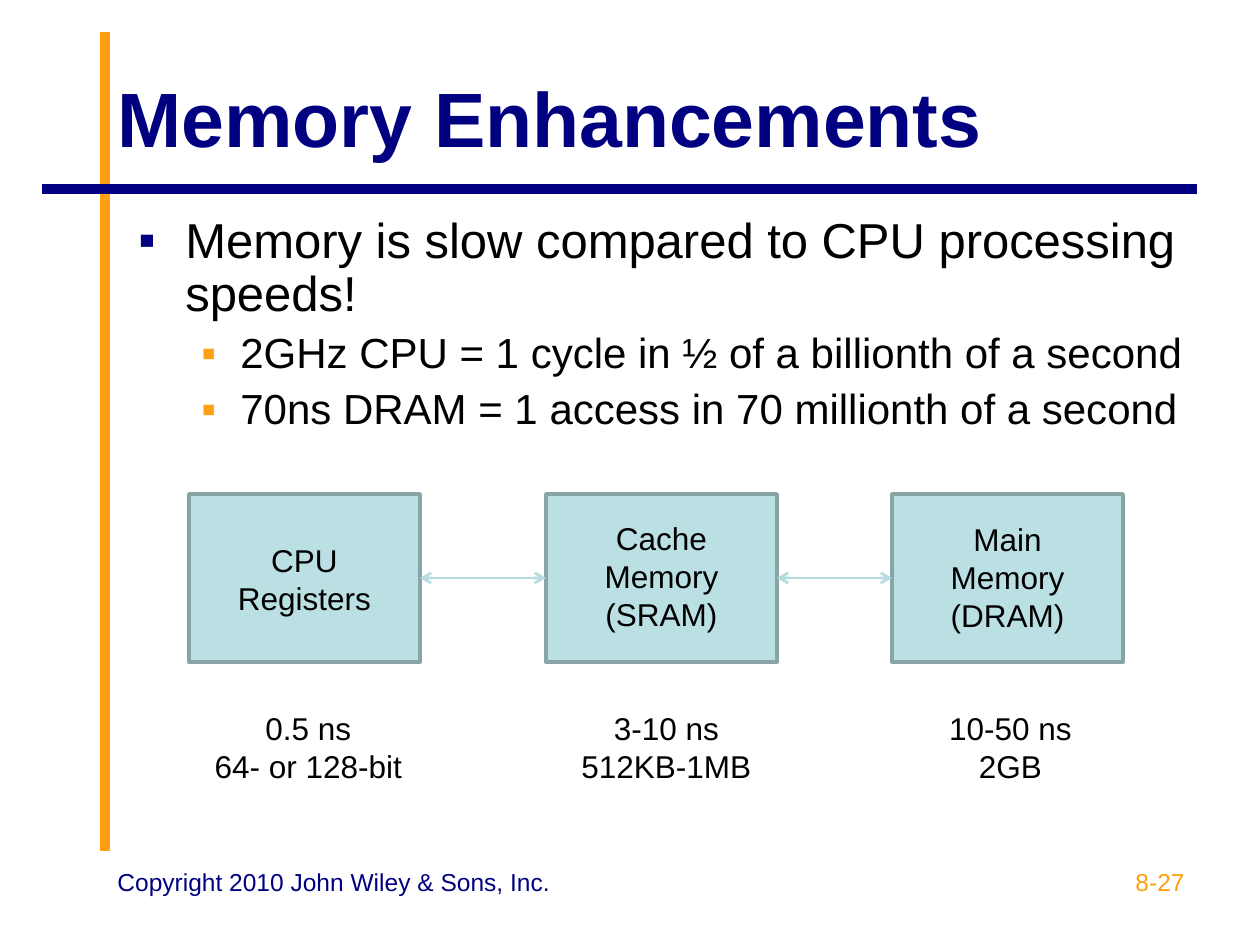
import pptx
import pptx.dml.color
import pptx.enum.shapes
import pptx.enum.text
import pptx.oxml.ns
import pptx.util
from lxml import etree

EMU_PER_PX = 914400 / 126
NAVY, ORANGE, BLACK = "000080", "FF9F11", "000000"
BOX_FILL, BOX_LINE, ARROW = "BBE0E3", "89A4A7", "B6DCDF"
ALIGN = pptx.enum.text.PP_ALIGN
ANCHOR = pptx.enum.text.MSO_ANCHOR
AUTO_SIZE = pptx.enum.text.MSO_AUTO_SIZE


def px(length):
    return pptx.util.Emu(round(length * EMU_PER_PX))


def color(hex_string):
    return pptx.dml.color.RGBColor.from_string(hex_string)


def add_child(parent, tag, **attributes):
    return etree.SubElement(parent, pptx.oxml.ns.qn(tag), attributes)


def add_run(paragraph, text, size, text_color, bold=False):
    run = paragraph.add_run()
    run.text = text
    run.font.name = "Arial"
    run.font.size = pptx.util.Pt(size)
    run.font.bold = bold
    run.font.color.rgb = color(text_color)


def add_text_frame(slide, left, top, width, height):
    frame = slide.shapes.add_textbox(px(left), px(top), px(width), px(height)).text_frame
    frame.word_wrap = True
    return frame


def add_paragraph(frame, index):
    return frame.paragraphs[0] if index == 0 else frame.add_paragraph()


def add_text(slide, bounds, lines, size=18, text_color=BLACK, align=ALIGN.LEFT, tabs=()):
    """Add a text box with one paragraph a line and centred tab stops."""
    frame = add_text_frame(slide, *bounds)
    for index, line in enumerate(lines):
        paragraph = add_paragraph(frame, index)
        paragraph.alignment = align
        if tabs:
            tab_list = add_child(paragraph._p.get_or_add_pPr(), "a:tabLst")
            for tab in tabs:
                add_child(tab_list, "a:tab", pos=str(px(tab)), algn="ctr")
        add_run(paragraph, line, size, text_color)
    return frame


def set_title(slide, text):
    title = slide.shapes.title
    title.left, title.top, title.width, title.height = px(105), px(38), px(1092), px(158)
    frame = title.text_frame
    frame.auto_size = AUTO_SIZE.NONE
    frame.vertical_anchor = ANCHOR.MIDDLE
    paragraph = frame.paragraphs[0]
    paragraph.alignment = ALIGN.LEFT
    add_run(paragraph, text, 44, NAVY, bold=True)


def add_bullets(slide, bounds, items):
    # Each level: left margin px, hanging px, bullet colour, text size, space before
    levels = [(47, 47, NAVY, 28, 7), (102, 39, ORANGE, 24, 6)]
    frame = add_text_frame(slide, *bounds)
    for index, (level, text) in enumerate(items):
        margin, hanging, bullet_color, size, space = levels[level]
        paragraph = add_paragraph(frame, index)
        paragraph.level = level
        paragraph.line_spacing = 0.9
        paragraph.space_before = pptx.util.Pt(space if index else 0)
        properties = paragraph._p.get_or_add_pPr()
        properties.set("marL", str(px(margin)))
        properties.set("indent", str(-px(hanging)))
        add_child(add_child(properties, "a:buClr"), "a:srgbClr", val=bullet_color)
        add_child(properties, "a:buFont", typeface="Arial")
        add_child(properties, "a:buChar", char="▪")
        add_run(paragraph, text, size, BLACK)


def add_line(slide, start, end, line_color, width):
    connector = slide.shapes.add_connector(
        pptx.enum.shapes.MSO_CONNECTOR.STRAIGHT, *map(px, start + end))
    connector.line.color.rgb = color(line_color)
    connector.line.width = pptx.util.Pt(width)
    add_child(connector._element.spPr, "a:effectLst")
    return connector


def add_box(slide, left, top, width, height):
    box = slide.shapes.add_shape(
        pptx.enum.shapes.MSO_SHAPE.RECTANGLE, px(left), px(top), px(width), px(height))
    box.shadow.inherit = False
    box.fill.solid()
    box.fill.fore_color.rgb = color(BOX_FILL)
    box.line.color.rgb = color(BOX_LINE)
    box.line.width = pptx.util.Pt(2)
    return box


def join_boxes(slide, left_box, right_box):
    """Link two neighbouring boxes with a double-headed arrow."""
    connector = add_line(slide, (0, 0), (0, 0), ARROW, 1.5)
    connector.begin_connect(left_box, 3)
    connector.end_connect(right_box, 1)
    line = connector._element.spPr.find(pptx.oxml.ns.qn("a:ln"))
    for end in ("a:headEnd", "a:tailEnd"):
        add_child(line, end, type="arrow")


def add_memory_levels(slide):
    # Each level: box left, label top, label height, label lines
    levels = [
        (189, 535, 88, ["CPU", "Registers"]),
        (546, 513, 126, ["Cache Memory", "(SRAM)"]),
        (892, 514, 126, ["Main", "Memory", "(DRAM)"]),
    ]
    boxes = [add_box(slide, left, 494, 231, 168) for left, *_ in levels]
    for left_box, right_box in zip(boxes, boxes[1:]):
        join_boxes(slide, left_box, right_box)
    for left, top, height, lines in levels:
        frame = add_text(slide, (left + 21, top, 189, height), lines, align=ALIGN.CENTER)
        frame.auto_size = AUTO_SIZE.SHAPE_TO_FIT_TEXT
    speeds = add_text(
        slide, (168, 703, 998, 88),
        ["\t0.5 ns\t3-10 ns\t10-50 ns", "\t64- or 128-bit\t512KB-1MB\t2GB"],
        tabs=(128, 486, 830))
    speeds.auto_size = AUTO_SIZE.SHAPE_TO_FIT_TEXT


def main():
    presentation = pptx.Presentation()
    presentation.slide_width, presentation.slide_height = px(1260), px(945)
    slide = presentation.slides.add_slide(presentation.slide_layouts[5])
    add_line(slide, (105, 851), (105, 32), ORANGE, 5.5)
    add_line(slide, (1197, 189), (42, 189), NAVY, 5.5)
    add_text(slide, (105, 861, 462, 66), ["Copyright 2010 John Wiley & Sons, Inc."], 14, NAVY)
    set_title(slide, "Memory Enhancements")
    add_bullets(slide, (126, 210, 1071, 624), [
        (0, "Memory is slow compared to CPU processing speeds!"),
        (1, "2GHz CPU = 1 cycle in ½ of a billionth of a second"),
        (1, "70ns DRAM = 1 access in 70 millionth of a second"),
    ])
    add_text(slide, (903, 861, 294, 66), ["8-27"], 14, ORANGE, ALIGN.RIGHT)
    add_memory_levels(slide)
    presentation.save("out.pptx")


if __name__ == "__main__":
    main()
